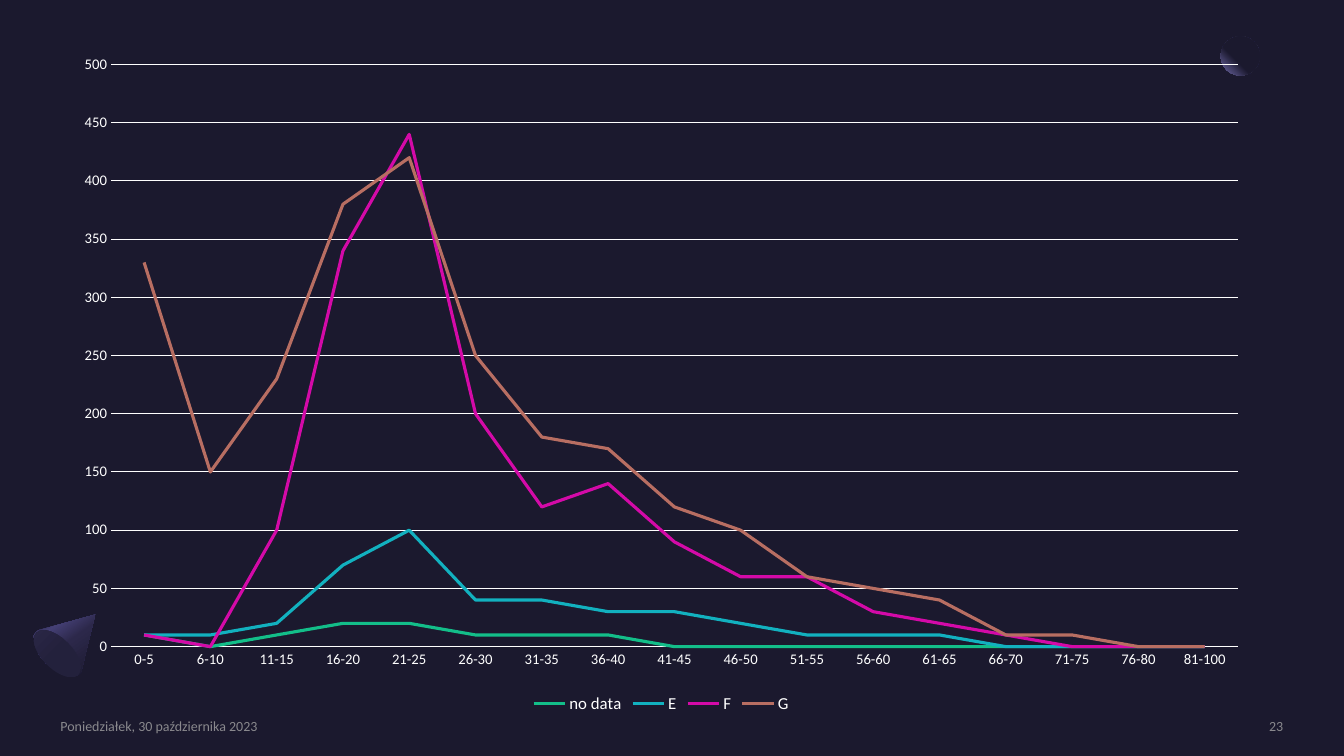
from lxml import etree
from pptx import Presentation
from pptx.chart.data import CategoryChartData
from pptx.dml.color import RGBColor
from pptx.enum.chart import XL_CHART_TYPE as CT, XL_LEGEND_POSITION as LP, XL_TICK_MARK as TM
from pptx.enum.shapes import MSO_SHAPE as SHAPE
from pptx.enum.text import MSO_ANCHOR as ANCHOR, PP_ALIGN as ALIGN
from pptx.oxml import parse_xml
from pptx.oxml.ns import nsdecls, qn
from pptx.util import Pt

FONT, WHITE, GREY, DARK = "Calibri", "FFFFFF", "A6A6A6", "1B192E"
AGES = ["0-5"] + [f"{a}-{a + 4}" for a in range(6, 77, 5)] + ["81-100"]
SERIES = [
    ("no data", "13BE89", [10, 0, 10, 20, 20, 10, 10, 10, 0, 0, 0, 0, 0, 0, 0, 0, 0]),
    ("E", "12B1BF", [10, 10, 20, 70, 100, 40, 40, 30, 30, 20, 10, 10, 10, 0, 0, 0, 0]),
    ("F", "D40AA8", [10, 0, 100, 340, 440, 200, 120, 140, 90, 60, 60, 30, 20, 10, 0, 0, 0]),
    ("G", "B86E62", [330, 150, 230, 380, 420, 250, 180, 170, 120, 100, 60, 50, 40, 10, 10, 0, 0]),
]
FOOTER = [
    ("Poniedziałek, 30 października 2023", 43.2, 207.4, ALIGN.LEFT),
    ("23", 783.4, 133.2, ALIGN.RIGHT),
]
CONE = [(68.4, 439.2), (57.6, 479.5), (56.2, 481.7), (52.5, 483.2), (46.5, 481.5),
        (39.5, 477.5), (33.1, 474.5), (28, 467.5), (25, 460), (24.3, 454.5),
        (25.9, 451.4), (28.1, 450)]
PLOT = {"x": 0.042, "y": 0.033, "w": 0.938, "h": 0.862}


def rgb(color):
    return RGBColor.from_string(color)


def style(font, size, color=WHITE):
    font.name, font.size = FONT, Pt(size)
    font.color.rgb = rgb(color)


def gradient(shape, stops, direction):
    gs = "".join(f'<a:gs pos="{pos * 1000}"><a:srgbClr val="{c}"/></a:gs>' for pos, c in stops)
    shape.element.spPr.insert(2, parse_xml(
        f'<a:gradFill {nsdecls("a")} rotWithShape="1"><a:gsLst>{gs}</a:gsLst>{direction}</a:gradFill>'))
    shape.line.fill.background()
    shape.shadow.inherit = False


def linear(degrees):
    return f'<a:lin ang="{degrees * 60000}" scaled="0"/>'


def add_decoration(s):
    moon = s.shapes.add_shape(SHAPE.OVAL, Pt(871.9), Pt(25.9), Pt(28.1), Pt(28.1))
    gradient(moon, [(60, DARK), (100, "7771B2")],
             '<a:path path="circle"><a:fillToRect l="100000" b="100000"/></a:path>')
    builder = s.shapes.build_freeform(*CONE[0], scale=Pt(1))
    builder.add_line_segments(CONE[1:], close=True)
    cone = builder.convert_to_shape()
    gradient(cone, [(10, "2C284A"), (25, "454075"), (50, "2C284A"), (100, DARK)], linear(55))
    base = s.shapes.add_shape(SHAPE.OVAL, Pt(30.2), Pt(445.7), Pt(21.6), Pt(42.5))
    base.rotation = 135
    gradient(base, [(50, "23213C"), (100, "2C284A")], linear(90))


def add_footer(s):
    for text, left, width, align in FOOTER:
        tf = s.shapes.add_textbox(Pt(left), Pt(512.6), Pt(width), Pt(12.2)).text_frame
        tf.margin_left = tf.margin_right = tf.margin_top = tf.margin_bottom = 0
        tf.word_wrap = True
        tf.vertical_anchor = ANCHOR.MIDDLE
        p = tf.paragraphs[0]
        p.text, p.alignment = text, align
        style(p.font, 10, GREY)
        for color in p._p.iter(qn("a:srgbClr")):
            etree.SubElement(color, qn("a:alpha")).set("val", "80000")


def add_age_chart(s):
    data = CategoryChartData()
    data.categories = AGES
    for name, _, values in SERIES:
        data.add_series(name, values)
    chart = s.shapes.add_chart(
        CT.LINE, Pt(43.2), Pt(30.2), Pt(858.2), Pt(482.4), data).chart
    chart.has_title = False
    style(chart.font, 10)
    chart.has_legend = True
    chart.legend.position = LP.BOTTOM
    chart.legend.include_in_layout = False
    style(chart.legend.font, 12)

    plot = chart.plots[0]
    plot.vary_by_categories = False
    for series, (_, color, _) in zip(plot.series, SERIES):
        series.smooth = False
        series.format.line.color.rgb = rgb(color)
        series.format.line.width = Pt(2.25)

    ages, counts = chart.category_axis, chart.value_axis
    for axis in (ages, counts):
        axis.major_tick_mark = axis.minor_tick_mark = TM.NONE
        style(axis.tick_labels.font, 10.5)
    counts.minimum_scale, counts.maximum_scale, counts.major_unit = 0, 500, 50
    counts.has_major_gridlines = True
    counts.format.line.fill.background()
    for line in (ages.format.line, counts.major_gridlines.format.line):
        line.color.rgb = rgb(WHITE)
        line.width = Pt(0.75)

    area = chart.element.find(".//" + qn("c:plotArea"))
    for old in area.findall(qn("c:layout")):
        area.remove(old)
    parts = '<c:layoutTarget val="inner"/><c:xMode val="edge"/><c:yMode val="edge"/>'
    parts += "".join(f'<c:{k} val="{v}"/>' for k, v in PLOT.items())
    area.insert(0, parse_xml(
        f'<c:layout {nsdecls("c")}><c:manualLayout>{parts}</c:manualLayout></c:layout>'))


def main():
    prs = Presentation()
    prs.slide_width, prs.slide_height = Pt(960), Pt(540)
    s = prs.slides.add_slide(prs.slide_layouts[6])
    s.background.fill.solid()
    s.background.fill.fore_color.rgb = rgb(DARK)
    add_decoration(s)
    add_footer(s)
    add_age_chart(s)
    prs.save("out.pptx")


if __name__ == "__main__":
    main()
